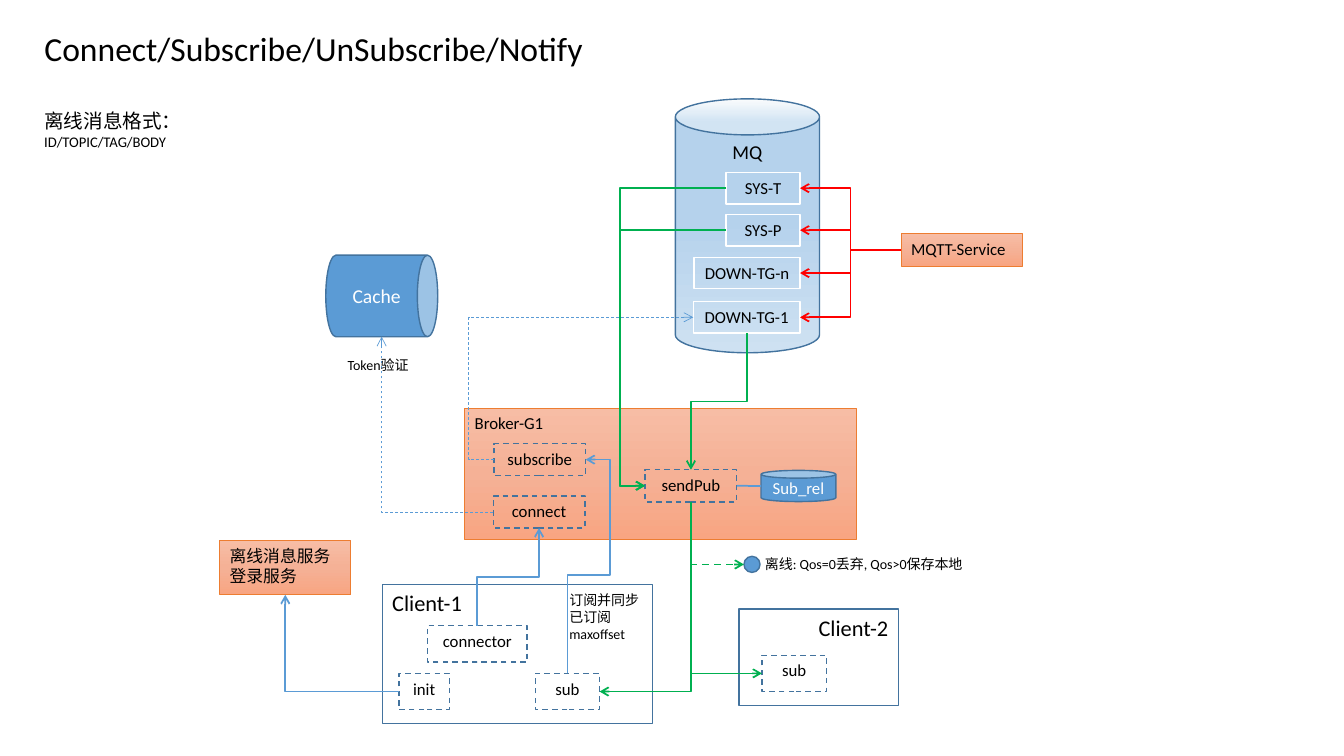
from dataclasses import dataclass

from lxml import etree
from pptx import Presentation
from pptx.dml.color import RGBColor
from pptx.enum.dml import MSO_LINE
from pptx.enum.shapes import MSO_CONNECTOR, MSO_SHAPE
from pptx.enum.text import MSO_ANCHOR, MSO_AUTO_SIZE, PP_ALIGN
from pptx.oxml.ns import qn
from pptx.util import Pt

RECTANGLE, CAN, DOT = MSO_SHAPE.RECTANGLE, MSO_SHAPE.CAN, MSO_SHAPE.FLOWCHART_CONNECTOR
STRAIGHT, ELBOW = MSO_CONNECTOR.STRAIGHT, MSO_CONNECTOR.ELBOW
LEFT, CENTER, RIGHT = PP_ALIGN.LEFT, PP_ALIGN.CENTER, PP_ALIGN.RIGHT
TOP, MIDDLE = MSO_ANCHOR.TOP, MSO_ANCHOR.MIDDLE
NO_AUTOFIT = MSO_AUTO_SIZE.NONE
DASH = MSO_LINE.DASH
TITLE_ONLY = 5


@dataclass(frozen=True)
class Theme:
    """Colours, gradients and type sizes of the slide."""

    font: str = "Calibri"
    black: str = "000000"
    white: str = "FFFFFF"
    blue: str = "5B9BD5"
    outline: str = "43739E"
    orange: str = "ED7D31"
    green: str = "00B050"
    red: str = "FF0000"
    service: tuple = ((0, "F7BDA5"), (50, "F5B196"), (100, "F8A582"))
    queue: tuple = ((0, "F7FAFD"), (9, "B5D2EC"), (47, "B5D2EC"), (100, "CEE1F2"))
    title: float = 24
    client: float = 16
    heading: float = 14
    body: float = 12
    format: float = 10.5
    note: float = 10


THEME = Theme()


def apply_format(target, values):
    """Set each named attribute of target."""
    for name, value in values.items():
        setattr(target, name, value)


def write_text(shape, lines, color=THEME.black, align=LEFT, anchor=TOP, wrap=True):
    """Write (text, size) lines as paragraphs."""
    frame = shape.text_frame
    frame.text = "\n".join(text for text, _ in lines)
    apply_format(frame, {"word_wrap": wrap, "vertical_anchor": anchor, "auto_size": NO_AUTOFIT})
    for paragraph, (_, size) in zip(frame.paragraphs, lines):
        paragraph.alignment = align
        for run in paragraph.runs:
            apply_format(run.font, {"name": THEME.font, "size": Pt(size)})
            run.font.color.rgb = RGBColor.from_string(color)


def set_line(line, color, width, dash=None):
    """Format an outline or connector line."""
    line.color.rgb = RGBColor.from_string(color)
    apply_format(line, {"width": Pt(width), "dash_style": dash})


def set_fill(shape, fill):
    """Fill with nothing, one colour or top-down gradient stops."""
    if fill is None:
        shape.fill.background()
    elif isinstance(fill, str):
        shape.fill.solid()
        shape.fill.fore_color.rgb = RGBColor.from_string(fill)
    else:
        shape.fill.gradient()
        shape.fill.gradient_angle = 270
        stops = shape._element.spPr.find(".//" + qn("a:gsLst"))
        stops.clear()
        for position, color in fill:
            stop = etree.SubElement(stops, qn("a:gs"), pos=str(position * 1000))
            etree.SubElement(stop, qn("a:srgbClr"), val=color)


def add_node(slide, box, lines=(), kind=RECTANGLE, fill=None,
             line=(THEME.outline, 1), **text_format):
    """Add a shape with fill, outline and text."""
    shape = slide.shapes.add_shape(kind, *map(Pt, box))
    shape.shadow.inherit = False
    set_fill(shape, fill)
    set_line(shape.line, *line)
    if lines:
        write_text(shape, lines, **text_format)
    return shape


def add_service(slide, box, *texts):
    """Add an orange service block."""
    lines = [(text, THEME.body) for text in texts]
    return add_node(slide, box, lines, fill=THEME.service, line=(THEME.orange, 0.5))


def add_step(slide, text, left, top, width, height):
    """Add a dashed step box."""
    return add_node(slide, (left, top, width, height), [(text, THEME.body)],
                    line=(THEME.outline, 1, DASH), align=CENTER)


def add_topic(slide, text, top, width):
    """Add a white-outlined topic aligned to the right edge of the queue."""
    return add_node(slide, (571.5 - width, top, width, 22.5), [(text, THEME.body)],
                    line=(THEME.white, 1), align=CENTER)


def add_label(slide, box, lines, **text_format):
    """Add a text box."""
    write_text(slide.shapes.add_textbox(*map(Pt, box)), lines, **text_format)


def side_point(shape, side):
    """Return the middle of a side of the shape as it stands."""
    width, height = shape.width, shape.height
    x, y = shape.left + width / 2, shape.top + height / 2
    if shape.rotation == 90:
        width, height = height, width
    return {"left": (x - width / 2, y), "right": (x + width / 2, y),
            "top": (x, y - height / 2), "bottom": (x, y + height / 2)}[side]


def finish_connector(connector, color, width, dash=None, arrow=True):
    """Format a connector, remove its shadow and add an arrowhead."""
    set_line(connector.line, color, width, dash)
    properties = connector._element.spPr
    if arrow:
        etree.SubElement(properties.find(qn("a:ln")), qn("a:tailEnd"), type="arrow")
    etree.SubElement(properties, qn("a:effectLst"))


def connect(slide, source, source_side, target, target_side, color,
            width=1.25, dash=None, turns=()):
    """Join two sides with an elbow arrow that bends at the given turns."""
    begin, end = side_point(source, source_side), side_point(target, target_side)
    upright = source_side in ("top", "bottom")
    parallel = upright == (target_side in ("top", "bottom"))
    bends = 3 if parallel else 2 + 2 * bool(turns)
    delta_x, delta_y = end[0] - begin[0], end[1] - begin[1]
    run, rise = (delta_y, -delta_x) if upright else (delta_x, delta_y)
    x, y = (begin[0] + end[0]) / 2, (begin[1] + end[1]) / 2
    corners = (x - run / 2, y - rise / 2, x + run / 2, y + rise / 2)
    connector = slide.shapes.add_connector(ELBOW, *map(round, corners))
    properties = connector._element.spPr
    if upright:
        properties.find(qn("a:xfrm")).set("rot", "5400000")
    geometry = properties.find(qn("a:prstGeom"))
    geometry.set("prst", f"bentConnector{bends}")
    guides = geometry.find(qn("a:avLst"))
    for number, turn in enumerate(turns, 1):
        axis = (upright + number - 1) % 2
        ratio = (Pt(turn) - begin[axis]) / (end[axis] - begin[axis])
        etree.SubElement(guides, qn("a:gd"), name=f"adj{number}",
                         fmla=f"val {round(ratio * 100000)}")
    finish_connector(connector, color, width, dash)


def add_title(slide, text):
    """Place and format the title."""
    title = slide.shapes.title
    apply_format(title, {"left": Pt(24.5), "top": Pt(16), "width": Pt(403), "height": Pt(36)})
    write_text(title, [(text, THEME.title)], wrap=False)


def main():
    """Build the message flow slide."""
    presentation = Presentation()
    apply_format(presentation, {"slide_width": Pt(960), "slide_height": Pt(540)})
    slide = presentation.slides.add_slide(presentation.slide_layouts[TITLE_ONLY])
    add_title(slide, "Connect/Subscribe/UnSubscribe/Notify")
    add_label(slide, (24.5, 74.5, 200, 40),
              [("离线消息格式：", THEME.heading), ("ID/TOPIC/TAG/BODY", THEME.format)])

    cache = add_node(slide, (243.5, 171.4, 58.3, 80), [("Cache", THEME.heading)], CAN,
                     THEME.blue, color=THEME.white, align=CENTER, anchor=MIDDLE)
    cache.rotation = 90
    cache.text_frame._txBody.bodyPr.set("vert", "vert270")
    add_service(slide, (332, 291.6, 280, 93.6), "Broker-G1")
    add_node(slide, (482.4, 70.6, 103, 181.4), [("MQ", THEME.heading)], CAN,
             THEME.queue, align=CENTER)
    service = add_service(slide, (643.7, 167, 86.4, 23), "MQTT-Service")
    login = add_service(slide, (157, 386, 93.6, 38.9), "离线消息服务", "登录服务")
    add_node(slide, (273, 417.6, 193, 99.4), [("Client-1", THEME.client)])
    add_node(slide, (527.8, 434.9, 113.8, 69), [("Client-2", THEME.client)], align=RIGHT)
    store = add_node(slide, (543.6, 336, 53.5, 22.3), [("Sub_rel", THEME.body)], CAN,
                     THEME.blue, color=THEME.white, align=CENTER, anchor=MIDDLE)
    dot = add_node(slide, (531.4, 397.4, 11.5, 11.5), kind=DOT, fill=THEME.blue)

    connector = add_step(slide, "connector", 305.3, 447, 71.3, 26)
    init = add_step(slide, "init", 285, 481, 36, 26)
    first_sub = add_step(slide, "sub", 382.3, 481, 46, 26)
    second_sub = add_step(slide, "sub", 544.3, 468, 46, 26)
    connect_step = add_step(slide, "connect", 352.3, 354.2, 65.5, 23)
    subscribe = add_step(slide, "subscribe", 352.8, 316.8, 65.5, 23)
    send = add_step(slide, "sendPub", 460.8, 335.5, 65.5, 23)
    topics = [add_topic(slide, *topic) for topic in (
        ("SYS-T", 123.2, 52.8), ("SYS-P", 153.2, 52.8),
        ("DOWN-TG-n", 183.8, 75.7), ("DOWN-TG-1", 215.4, 76.3))]
    down = topics[-1]

    for topic in topics:
        connect(slide, service, "left", topic, "right", THEME.red)
    for topic in topics[:2]:
        connect(slide, topic, "left", send, "left", THEME.green, turns=(442.8,))
    connect(slide, down, "bottom", send, "top", THEME.green)
    connect(slide, send, "bottom", first_sub, "right", THEME.green)
    connect(slide, send, "bottom", second_sub, "left", THEME.green)
    connect(slide, send, "bottom", dot, "left", THEME.green, dash=DASH)
    connect(slide, connector, "top", connect_step, "bottom", THEME.blue)
    connect(slide, init, "left", login, "bottom", THEME.blue)
    connect(slide, first_sub, "top", subscribe, "right", THEME.blue, turns=(410.5, 435.6))
    connect(slide, connect_step, "left", cache, "bottom", THEME.blue, 0.5, DASH)
    connect(slide, subscribe, "left", down, "left", THEME.blue, 0.5, DASH, (334.8,))
    ends = side_point(store, "left") + side_point(send, "right")
    link = slide.shapes.add_connector(STRAIGHT, *map(round, ends))
    finish_connector(link, THEME.blue, 1.25, arrow=False)

    add_label(slide, (241.2, 251.3, 62, 20), [("Token验证", THEME.note)], wrap=False)
    add_label(slide, (539.3, 393, 157.7, 20),
              [("离线: Qos=0丢弃, Qos>0保存本地", THEME.note)])
    add_label(slide, (399.6, 419, 73.4, 44), [("订阅并同步已订阅maxoffset", THEME.note)])
    presentation.save("out.pptx")


main()
